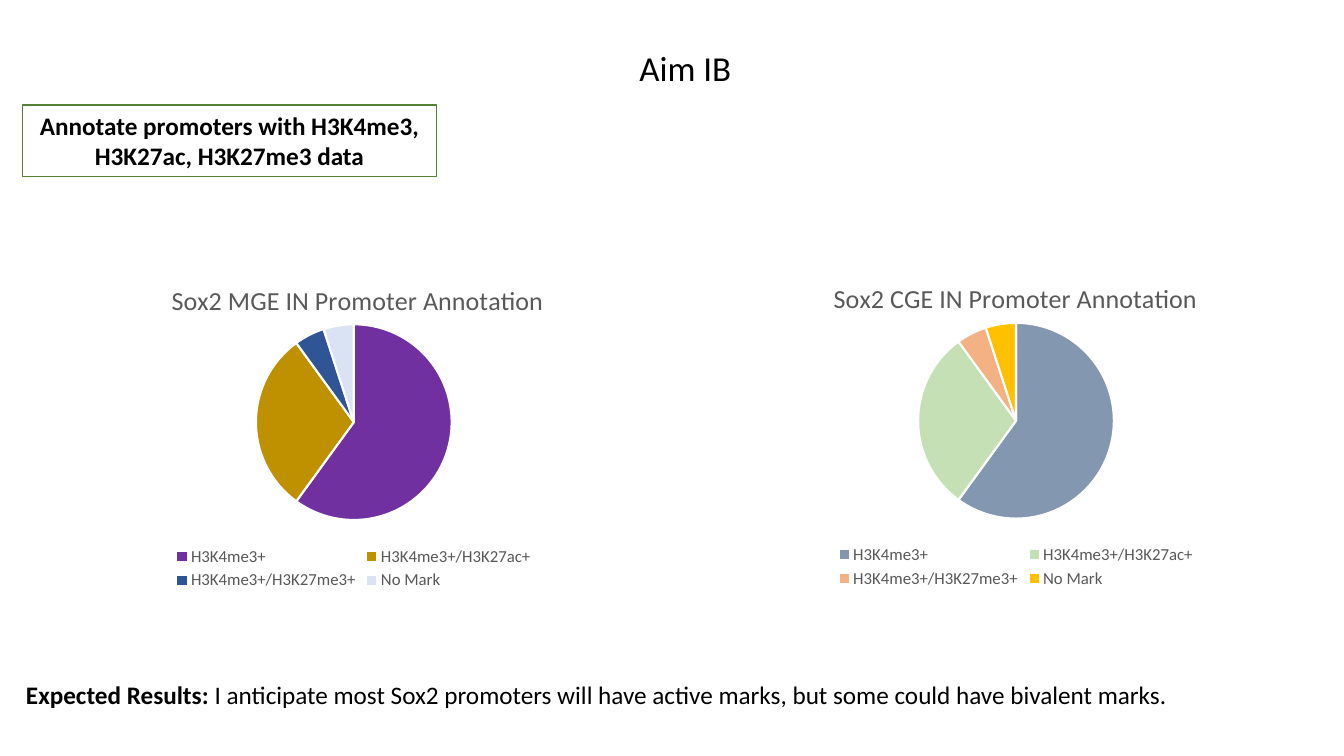
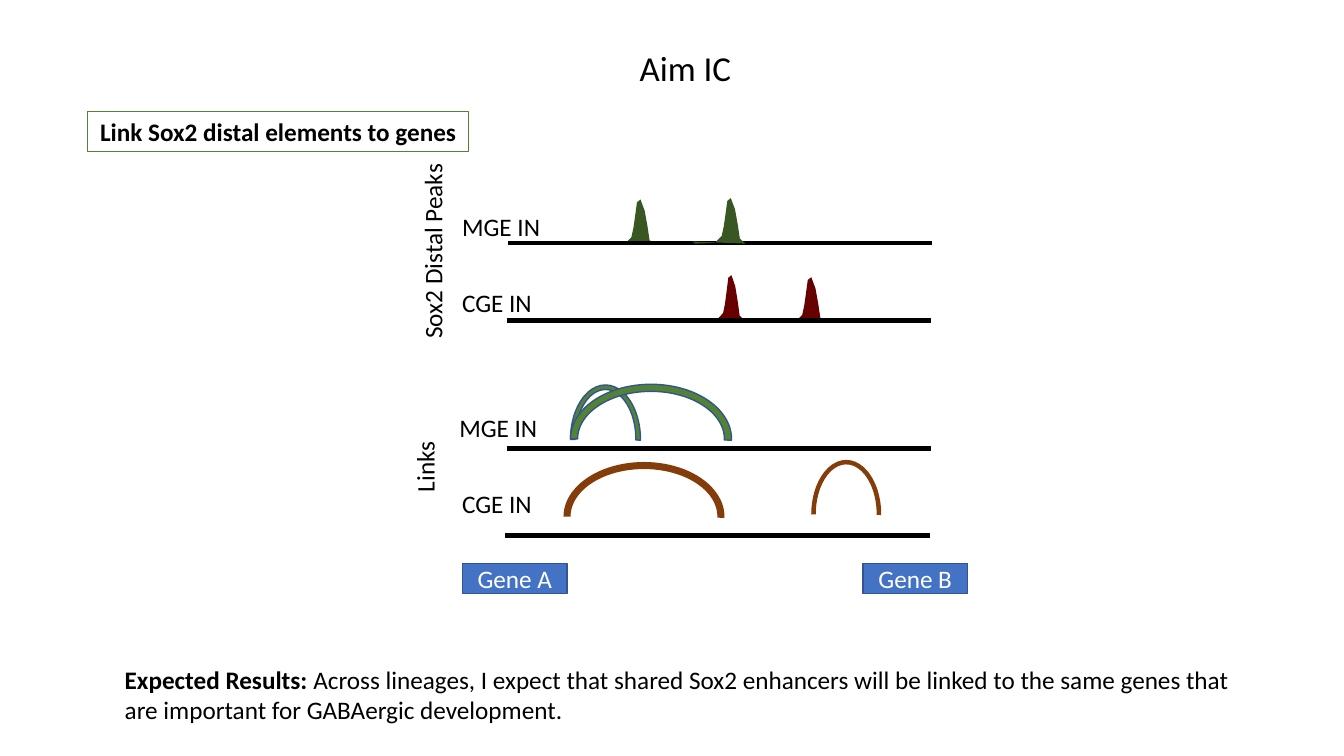
from dataclasses import dataclass

from lxml.etree import SubElement
from pptx import Presentation
from pptx.chart.data import CategoryChartData
from pptx.dml.color import RGBColor
from pptx.enum.chart import XL_CHART_TYPE, XL_LEGEND_POSITION
from pptx.enum.shapes import MSO_CONNECTOR, MSO_SHAPE
from pptx.enum.text import MSO_ANCHOR, MSO_AUTO_SIZE, PP_ALIGN
from pptx.oxml import parse_xml
from pptx.oxml.ns import nsdecls, qn
from pptx.util import Pt


@dataclass(frozen=True)
class Theme:
    font: str = "Calibri"
    title_size: float = 25
    body_size: float = 18
    chart_title_size: float = 18.6
    legend_size: float = 12
    black: str = "000000"
    white: str = "FFFFFF"
    grey: str = "595959"
    green: str = "548235"
    dark_green: str = "385723"
    dark_red: str = "670000"
    brown: str = "843C0B"
    blue: str = "4472C4"
    dark_blue: str = "325491"
    mge_slices: tuple = ("7030A0", "BF9000", "2F5597", "DAE3F3")
    cge_slices: tuple = ("8497B0", "C5E0B4", "F4B183", "FFC000")


PEAK = [(0, 31), (2, 32.5), (16, 32), (21, 27), (22.5, 20), (24, 9.5),
        (25, 2), (27.5, 0), (30.5, 8), (32.5, 19), (34, 29), (38, 32.5)]
MARKS = ["H3K4me3+", "H3K4me3+/H3K27ac+", "H3K4me3+/H3K27me3+", "No Mark"]
SHARES = [60, 30, 5, 5]


class Deck:
    def __init__(self, theme):
        self.t = theme
        self.prs = Presentation()
        self.prs.slide_width, self.prs.slide_height = Pt(960), Pt(540)
        self.s = None

    def slide(self, title):
        self.s = self.prs.slides.add_slide(self.prs.slide_layouts[6])
        self.text(44, 29.5, 891, 37.5, [(title, False)], self.t.title_size, True)

    def style(self, font, size, color, bold=False):
        font.name, font.size, font.bold = self.t.font, Pt(size), bold
        font.color.rgb = RGBColor.from_string(color)

    def add_runs(self, sp, runs, size, color, centered, grow=True):
        tf = sp.text_frame
        tf.word_wrap = True
        tf.auto_size = MSO_AUTO_SIZE.SHAPE_TO_FIT_TEXT if grow else MSO_AUTO_SIZE.NONE
        p = tf.paragraphs[0]
        p.alignment = PP_ALIGN.CENTER if centered else PP_ALIGN.LEFT
        for text, bold in runs:
            r = p.add_run()
            r.text = text
            self.style(r.font, size, color, bold)

    def text(self, x, y, w, h, runs, size=None, centered=False, rotation=0):
        sp = self.s.shapes.add_textbox(Pt(x), Pt(y), Pt(w), Pt(h))
        sp.rotation = rotation
        self.add_runs(sp, runs, size or self.t.body_size, self.t.black, centered)

    def results(self, x, y, w, h, text):
        self.text(x, y, w, h, [("Expected Results: ", True), (text, False)])

    def paint(self, sp, fill=None, line=None, width=1):
        sp.shadow.inherit = False
        if fill:
            sp.fill.solid()
            sp.fill.fore_color.rgb = RGBColor.from_string(fill)
        else:
            sp.fill.background()
        if line:
            sp.line.color.rgb = RGBColor.from_string(line)
            sp.line.width = Pt(width)
        else:
            sp.line.fill.background()

    def shape(self, kind, x, y, w, h, fill=None, line=None, width=1):
        sp = self.s.shapes.add_shape(kind, Pt(x), Pt(y), Pt(w), Pt(h))
        self.paint(sp, fill, line, width)
        return sp

    def task(self, x, y, w, h, text):
        sp = self.shape(MSO_SHAPE.RECTANGLE, x, y, w, h, None, self.t.green, 0.75)
        sp.text_frame.vertical_anchor = MSO_ANCHOR.TOP
        self.add_runs(sp, [(text, True)], self.t.body_size, self.t.black, True)

    def gene(self, x, y, name):
        sp = self.shape(MSO_SHAPE.RECTANGLE, x, y, 74.5, 21.5,
                        self.t.blue, self.t.dark_blue)
        sp.text_frame.vertical_anchor = MSO_ANCHOR.MIDDLE
        self.add_runs(sp, [(name, False)], self.t.body_size, self.t.white, True, False)

    def arc(self, x, y, w, fill, line=None):
        sp = self.shape(MSO_SHAPE.BLOCK_ARC, x, y, w, 78, fill, line)
        for i, value in enumerate((108, 0.536, 0.065)):
            sp.adjustments[i] = value

    def peak(self, x, y, color, width=38):
        pts = [(Pt(x + dx * width / 38), Pt(y + dy)) for dx, dy in PEAK]
        fb = self.s.shapes.build_freeform(*pts[0])
        fb.add_line_segments(pts[1:], close=True)
        self.paint(fb.convert_to_shape(), color)

    def baseline(self, x, y):
        cn = self.s.shapes.add_connector(
            MSO_CONNECTOR.STRAIGHT, Pt(x), Pt(y), Pt(x + 303), Pt(y))
        cn.line.color.rgb = RGBColor.from_string(self.t.black)
        cn.line.width = Pt(3.25)
        SubElement(cn._element.spPr, qn("a:effectLst"))

    def place(self, parent, index, **values):
        old = parent.find(qn("c:layout"))
        if old is not None:
            parent.remove(old)
        inner = '<c:layoutTarget val="inner"/>' if "w" in values else ""
        modes = "".join(f'<c:{k}Mode val="edge"/>' for k in "xy")
        sizes = "".join(f'<c:{k} val="{v}"/>' for k, v in values.items())
        parent.insert(index, parse_xml(
            f'<c:layout {nsdecls("c")}><c:manualLayout>{inner}{modes}{sizes}'
            '</c:manualLayout></c:layout>'))

    def pie(self, x, y, title, colors):
        data = CategoryChartData()
        data.categories = MARKS
        data.add_series("Series 1", SHARES)
        chart = self.s.shapes.add_chart(
            XL_CHART_TYPE.PIE, Pt(x), Pt(y), Pt(417.5), Pt(241), data).chart
        self.style(chart.font, 10, self.t.black)
        chart.has_title = True
        r = chart.chart_title.text_frame.paragraphs[0].add_run()
        r.text = title
        self.style(r.font, self.t.chart_title_size, self.t.grey)
        chart.has_legend = True
        chart.legend.position = XL_LEGEND_POSITION.BOTTOM
        chart.legend.include_in_layout = False
        self.style(chart.legend.font, self.t.legend_size, self.t.grey)
        plot = chart.plots[0]
        plot.vary_by_categories = True
        for i, color in enumerate(colors):
            fmt = plot.series[0].points[i].format
            fmt.fill.solid()
            fmt.fill.fore_color.rgb = RGBColor.from_string(color)
            fmt.line.color.rgb = RGBColor.from_string(self.t.white)
            fmt.line.width = Pt(1.5)
        self.place(chart.chart_title._element, 1, x=0.18, y=0.06)
        self.place(chart._chartSpace.chart.plotArea, 0, x=0.33, y=0.2, w=0.34, h=0.58)


def promoters(d):
    d.slide("Aim IB")
    d.results(11.5, 481.5, 936, 29,
              "I anticipate most Sox2 promoters will have active marks, "
              "but some could have bivalent marks.")
    d.task(16, 75, 296, 51, "Annotate promoters with H3K4me3, H3K27ac, H3K27me3 data")
    d.pie(44, 183.5, "Sox2 MGE IN Promoter Annotation", d.t.mge_slices)
    d.pie(517, 182.5, "Sox2 CGE IN Promoter Annotation", d.t.cge_slices)


def links(d):
    t = d.t
    d.slide("Aim IC")
    d.results(82, 471, 814.5, 51,
              "Across lineages, I expect that shared Sox2 enhancers will be linked "
              "to the same genes that are important for GABAergic development.")
    d.peak(497.5, 196.5, t.dark_red, 34.5)
    d.peak(552, 198, t.dark_red)
    d.peak(430, 142.5, t.dark_green)
    for x, y in ((363, 173.5), (362, 229), (362, 320.5), (361, 382.5)):
        d.baseline(x, y)
    d.peak(494.5, 141.5, t.dark_green)
    for x, y, name in ((323, 147.5, "MGE IN"), (323, 201.5, "CGE IN"),
                       (321, 291, "MGE IN"), (323, 345.5, "CGE IN")):
        d.text(x, y, 92, 29, [(name, False)])
    for x, y, w, name in ((234, 165, 150, "Sox2 Distal Peaks"), (253.5, 319, 100, "Links")):
        d.text(x, y, w, 29, [(name, False)], centered=True, rotation=270)
    d.task(62.5, 79.5, 272.5, 29, "Link Sox2 distal elements to genes")
    d.arc(407.5, 275, 50, t.green, t.dark_blue)
    d.arc(407.5, 274.5, 115, t.green, t.dark_blue)
    d.arc(579.5, 328.5, 50, t.brown)
    d.arc(402.5, 330, 115, t.brown)
    d.gene(330.5, 402.5, "Gene A")
    d.gene(616.5, 402.5, "Gene B")


def main():
    d = Deck(Theme())
    promoters(d)
    links(d)
    d.prs.save("out.pptx")


if __name__ == "__main__":
    main()
